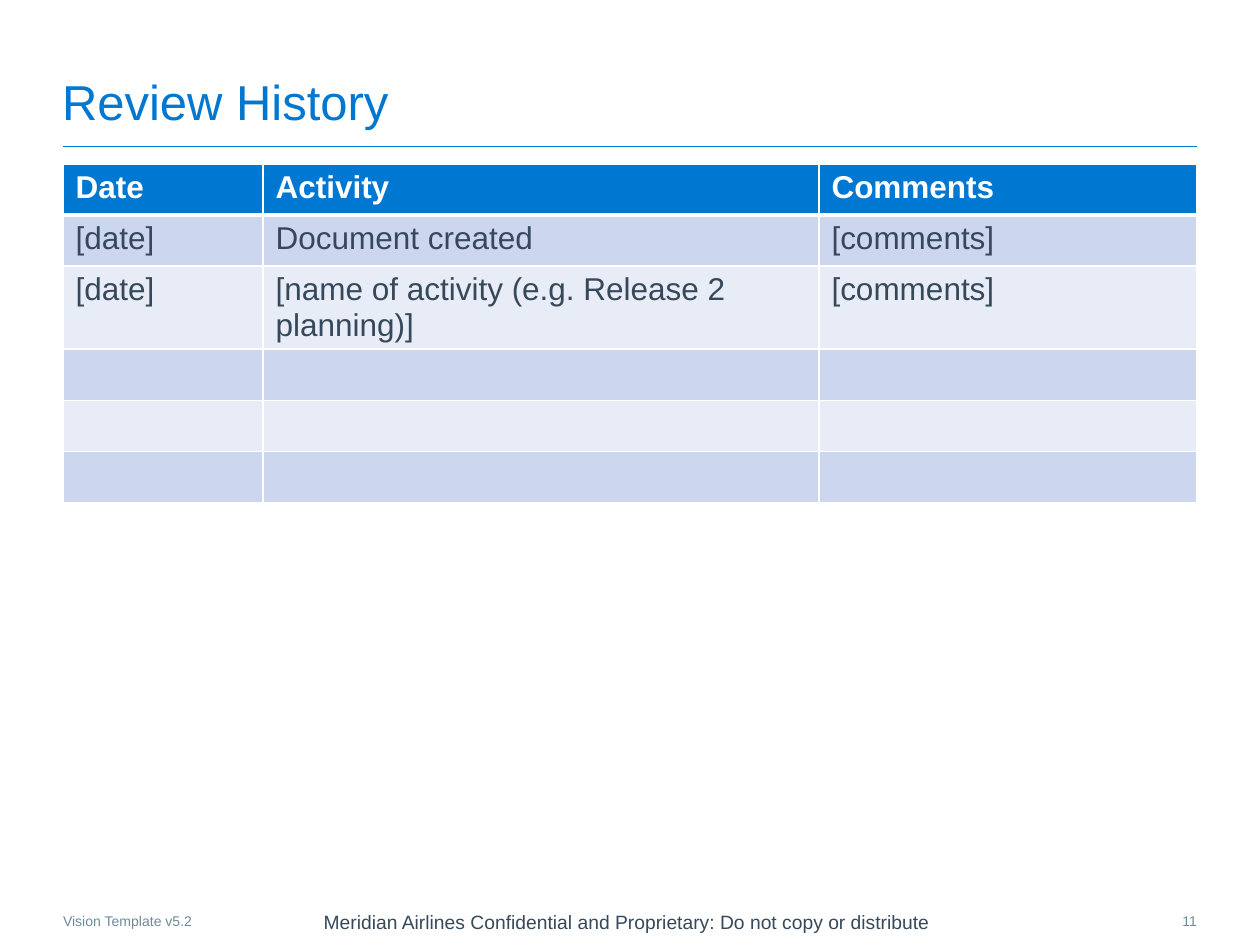
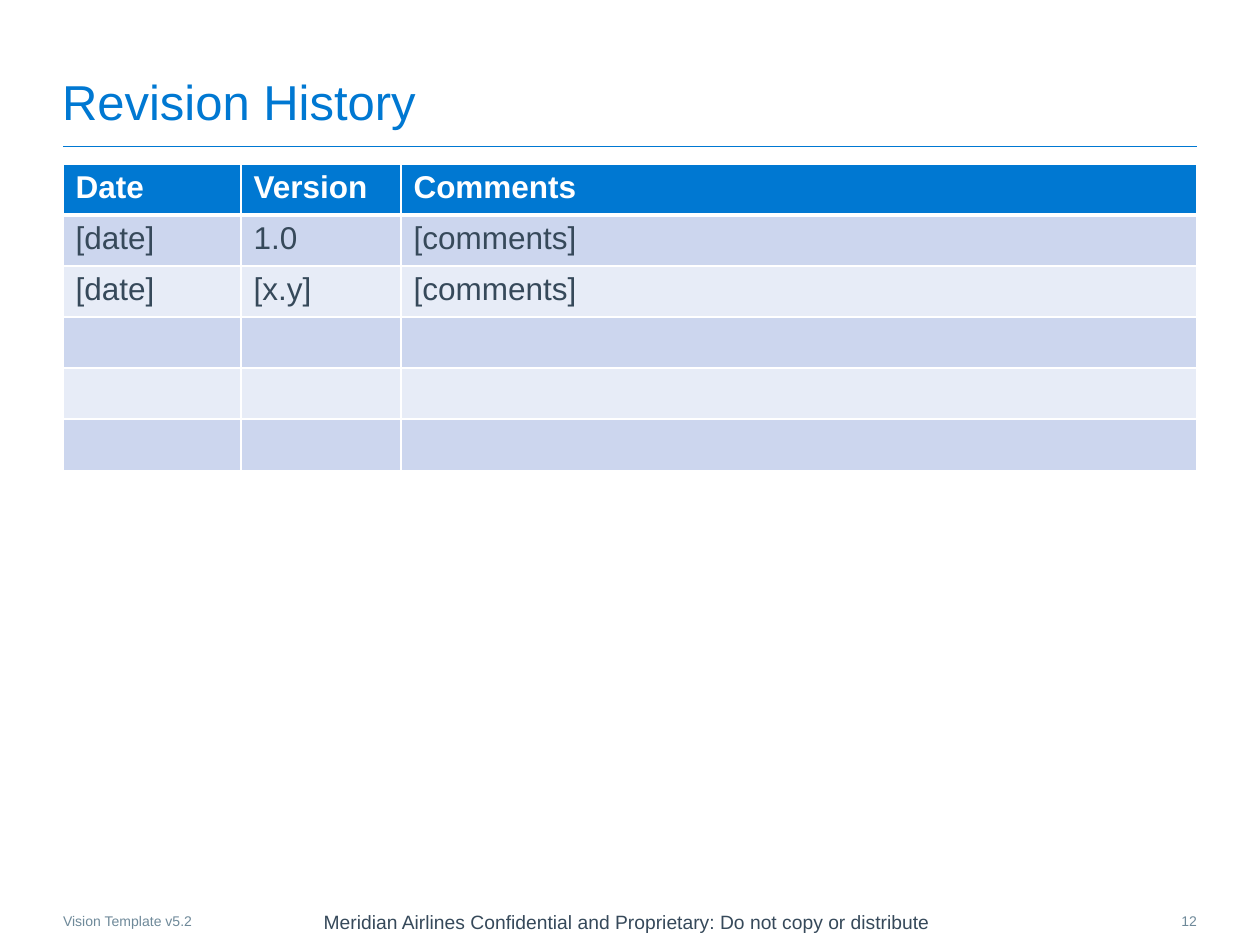
"""Build two document-history slides, each with a title, a table and footers."""
from dataclasses import dataclass

from lxml import etree
from pptx import Presentation
from pptx.dml.color import RGBColor
from pptx.enum.shapes import MSO_CONNECTOR
from pptx.enum.text import MSO_ANCHOR, MSO_AUTO_SIZE, PP_ALIGN
from pptx.oxml.ns import qn
from pptx.util import Emu, Pt

LEFT, CENTER, RIGHT = PP_ALIGN.LEFT, PP_ALIGN.CENTER, PP_ALIGN.RIGHT
TOP, MIDDLE, BOTTOM = MSO_ANCHOR.TOP, MSO_ANCHOR.MIDDLE, MSO_ANCHOR.BOTTOM
NO_FIT = MSO_AUTO_SIZE.NONE
STRAIGHT = MSO_CONNECTOR.STRAIGHT
TITLE_ONLY = 5

NOTICE = "Meridian Airlines Confidential and Proprietary: Do not copy or distribute"
VERSION = "Vision Template v5.2"
BLANK_ROWS = [("", "", "")] * 3
SLIDES = [
    {
        "title": "Review History",
        "number": "11",
        "columns": [200, 556, 378],
        "rows": [
            ("Date", "Activity", "Comments"),
            ("[date]", "Document created", "[comments]"),
            ("[date]", "[name of activity (e.g. Release 2 planning)]", "[comments]"),
            *BLANK_ROWS,
        ],
    },
    {
        "title": "Revision History",
        "number": "12",
        "columns": [178, 160, 796],
        "rows": [
            ("Date", "Version", "Comments"),
            ("[date]", "1.0", "[comments]"),
            ("[date]", "[x.y]", "[comments]"),
            *BLANK_ROWS,
        ],
    },
]

SLIDE_SIZE = (1260, 945)
MARGIN_LEFT, MARGIN_RIGHT = 63, 1197
RULE_TOP = 146
TABLE_TOP, ROW_HEIGHT = 164, 51
TITLE_BOX = (62, 53, 1135, 77)
NOTICE_BOX = (253, 905, 748, 33)
VERSION_BOX = (MARGIN_LEFT, 913, 244, 18)
NUMBER_BOX = (1153, 913, 44, 18)


@dataclass(frozen=True)
class Theme:
    font: str = "Arial"
    blue: str = "0078D2"
    ink: str = "36495A"
    muted: str = "6E8999"
    white: str = "FFFFFF"
    bands: tuple = ("CCD6EE", "E7ECF7")
    title_size: int = 28
    table_size: int = 18
    notice_size: int = 11
    footer_size: int = 8
    rule_width: float = 0.5
    border_width: int = 1
    header_border_width: int = 3


THEME = Theme()


def px(length):
    return Emu(round(length * 914400 / 126))


def write(frame, text, size, color, bold=False, align=LEFT):
    paragraph = frame.paragraphs[0]
    paragraph.alignment = align
    run = paragraph.add_run()
    run.text = text
    font = run.font
    font.name, font.size, font.bold = THEME.font, Pt(size), bold
    font.color.rgb = RGBColor.from_string(color)


def set_frame(frame, anchor=TOP, inset=(0, 0), wrap=True):
    frame.auto_size = NO_FIT
    frame.word_wrap = wrap
    frame.vertical_anchor = anchor
    frame.margin_left = frame.margin_right = px(inset[0])
    frame.margin_top = frame.margin_bottom = px(inset[1])


def add_text(slide, box, text, size, color, align=LEFT, **frame_format):
    frame = slide.shapes.add_textbox(*map(px, box)).text_frame
    set_frame(frame, **frame_format)
    write(frame, text, size, color, align=align)


def add_title(slide, text):
    title = slide.shapes.title
    title.left, title.top, title.width, title.height = map(px, TITLE_BOX)
    set_frame(title.text_frame, anchor=BOTTOM)
    write(title.text_frame, text, THEME.title_size, THEME.blue)


def add_rule(slide):
    ends = map(px, (MARGIN_LEFT, RULE_TOP, MARGIN_RIGHT, RULE_TOP))
    rule = slide.shapes.add_connector(STRAIGHT, *ends)
    rule.line.color.rgb = RGBColor.from_string(THEME.blue)
    rule.line.width = Pt(THEME.rule_width)
    etree.SubElement(rule._element.spPr, qn("a:effectLst"))


def set_borders(cell, row_index):
    widths = dict.fromkeys(("L", "R", "T", "B"), THEME.border_width)
    if row_index < 2:
        widths["B" if row_index == 0 else "T"] = THEME.header_border_width
    properties = cell._tc.get_or_add_tcPr()
    for side, width in widths.items():
        line = etree.SubElement(properties, qn(f"a:ln{side}"), w=str(Pt(width)))
        fill = etree.SubElement(line, qn("a:solidFill"))
        etree.SubElement(fill, qn("a:srgbClr"), val=THEME.white)


def format_cell(cell, text, row_index):
    header = row_index == 0
    set_borders(cell, row_index)
    cell.fill.solid()
    fill = THEME.blue if header else THEME.bands[(row_index - 1) % 2]
    cell.fill.fore_color.rgb = RGBColor.from_string(fill)
    if text:
        color = THEME.white if header else THEME.ink
        write(cell.text_frame, text, THEME.table_size, color, bold=header)


def add_history_table(slide, columns, rows):
    box = (MARGIN_LEFT, TABLE_TOP, sum(columns), ROW_HEIGHT * len(rows))
    table = slide.shapes.add_table(len(rows), len(columns), *map(px, box)).table
    table.horz_banding = False
    for column, width in zip(table.columns, columns):
        column.width = px(width)
    for row_index, texts in enumerate(rows):
        for column_index, text in enumerate(texts):
            format_cell(table.cell(row_index, column_index), text, row_index)


def add_footers(slide, number):
    add_text(slide, NOTICE_BOX, NOTICE, THEME.notice_size, THEME.ink,
             align=CENTER, anchor=MIDDLE, inset=(13, 6), wrap=False)
    add_text(slide, VERSION_BOX, VERSION, THEME.footer_size, THEME.muted)
    add_text(slide, NUMBER_BOX, number, THEME.footer_size, THEME.muted, align=RIGHT)


def main():
    presentation = Presentation()
    presentation.slide_width, presentation.slide_height = map(px, SLIDE_SIZE)
    for content in SLIDES:
        slide = presentation.slides.add_slide(presentation.slide_layouts[TITLE_ONLY])
        add_rule(slide)
        add_title(slide, content["title"])
        add_footers(slide, content["number"])
        add_history_table(slide, content["columns"], content["rows"])
    presentation.save("out.pptx")


if __name__ == "__main__":
    main()
